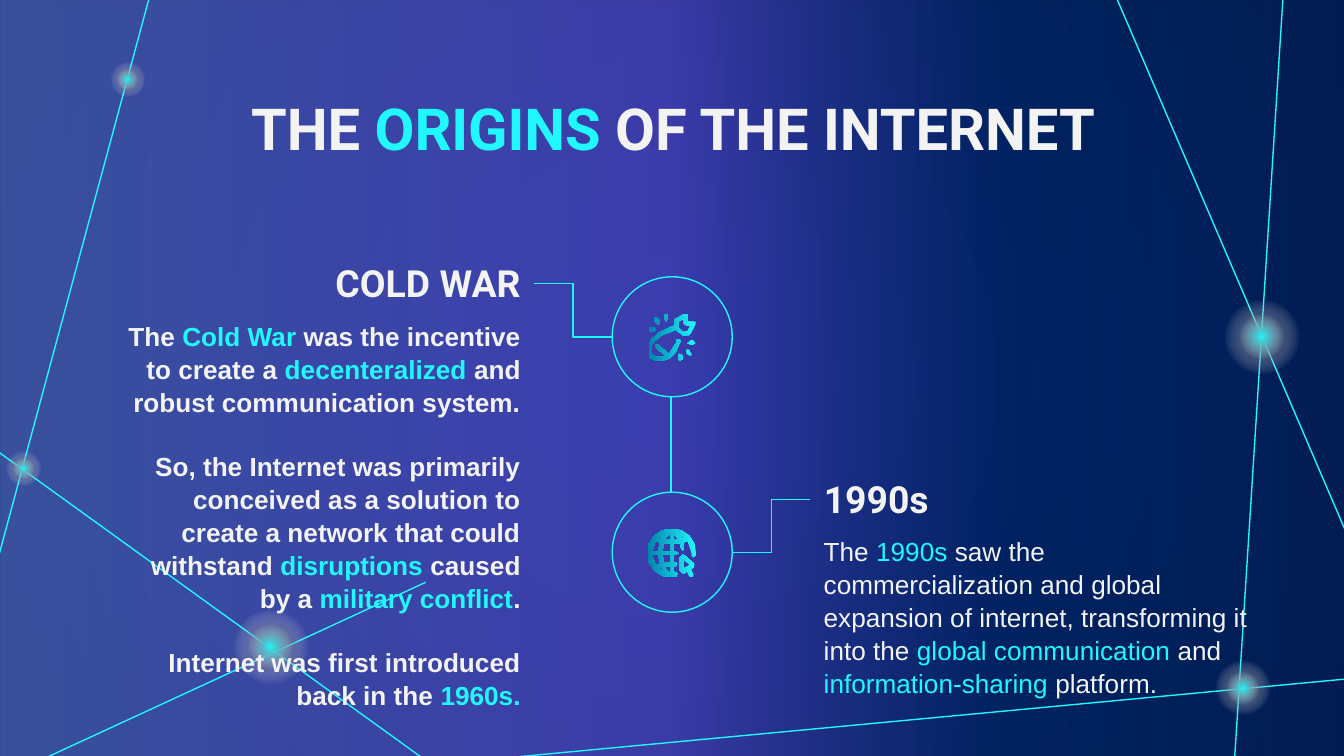
from lxml import etree
from pptx import Presentation
from pptx import util as u
from pptx.dml.color import RGBColor
from pptx.enum import shapes, text
from pptx.oxml.ns import nsdecls, qn

Pt = u.Pt
HUES = {"cyan": "20F8FD", "teal": "0182AA", "white": "F3F3F3", "navy": "00183A",
        "blue": "012060", "sky": "748BFF", "violet": "7659FF", "royal": "022E88"}

# Network lines: from x, y to x, y
LINKS = [(598, -1.5, 721.5, 286), (687.5, -4, 661, 413), (271.5, 406, 729.5, 363),
         (-1, 242, 231, 409.5), (11.5, 412, 228, 312), (81.5, -7, -1, 299)]
# Glowing nodes: centre x, y, size
NODES = [(676, 180.5, 57), (666, 368.5, 42), (145, 346.5, 57), (12.5, 251, 26.5),
         (68.5, 42.5, 26.5)]

# Icon outlines in steps of a hundredth of an inch; later loops cut holes
STEP = 0.72
WRENCH = [
    "31,15 35,8 35,6 33,6 29,6 29,1 28,0 27,0 20,4 19,5 19,9 16,10 8,14 2,19 0,24 0,30 "
    "1,33 5,35 11,35 16,33 20,29 23,22 24,21 23,19 21,19 21,21 15,30 7,23 5,23 5,25 "
    "13,32 11,32 5,32 2,30 2,24 4,21 10,16 18,13 20,12 24,15 25,16 30,16",
    "25,13 22,10 22,6 26,4 26,7 28,9 31,9 29,13",
    "4,5 4,3 6,3 8,5 8,7 7,8 6,7",
    "12,4 12,1 13,0 14,1 14,4 13,6",
    "0,12 1,10 4,10 5,12 4,13 1,13",
    "31,29 32,31 31,31 30,31 28,29 28,27 30,27",
    "35,22 33,23 31,23 29,22 31,20 33,20",
    "25,31 25,34 23,35 22,34 22,31 23,30"]
GLOBE = [
    "21,19 23,18 21,17 19,17 19,11 24,11 25,15 26,16 27,15 27,10 30,9 33,18 33,20 34,21 "
    "36,20 36,18 35,11 31,5 25,1 18,0 11,1 5,5 1,11 0,18 1,25 5,31 11,35 18,36 21,36 "
    "22,34 22,33 20,32 19,33 19,28 21,28 22,26 21,25 19,25 19,19",
    "13,29 13,28 17,28 17,33", "11,30 12,32 8,29 10,28", "6,27 3,19 8,19 9,26",
    "6,9 9,10 8,17 3,17", "17,8 13,8 13,7 17,3", "11,6 10,7 8,7 12,4",
    "12,11 17,11 17,17 11,17", "19,8 19,3 23,8", "24,5 24,4 28,7 26,7",
    "17,25 12,25 11,19 17,19",
    "35,26 28,20 26,19 24,21 24,31 26,33 28,33 29,31 31,35 33,36 34,34 32,30 34,29",
    "32,27 31,27 28,29 27,29 27,23"]


def hue(name):
    return RGBColor.from_string(HUES[name])


def blend(fill, owner, stops, angle=None):
    """Fill with (place, colour, opacity) stops, round when no angle is given."""
    fill.solid()
    fill.fore_color.rgb = hue("navy")
    marks = "".join(
        f'<a:gs pos="{at * 1000}"><a:srgbClr val="{HUES[name]}">'
        f'<a:alpha val="{clear * 1000}"/></a:srgbClr></a:gs>' for at, name, clear in stops)
    if angle is None:
        way = ('<a:path path="circle"><a:fillToRect l="50000" t="50000" '
               'r="50000" b="50000"/></a:path>')
    else:
        way = f'<a:lin ang="{angle * 60000}" scaled="0"/>'
    new = etree.fromstring(f'<a:gradFill {nsdecls("a")} rotWithShape="1">'
                           f'<a:gsLst>{marks}</a:gsLst>{way}</a:gradFill>')
    old = owner.find(".//" + qn("a:solidFill"))
    old.getparent().replace(old, new)


def shape(slide, kind, *box):
    item = slide.shapes.add_shape(kind, *map(Pt, box))
    item.shadow.inherit = False
    item.line.fill.background()
    return item


def link(slide, ends, kind=shapes.MSO_CONNECTOR.STRAIGHT):
    line = slide.shapes.add_connector(kind, *map(Pt, ends))
    line.line.color.rgb = hue("cyan")
    line.line.width = Pt(0.75)
    etree.SubElement(line.element.spPr, qn("a:effectLst"))


def glow(slide, x, y, size):
    for name, wide in (("navy", size), ("cyan", size * 0.6)):
        disc = shape(slide, shapes.MSO_SHAPE.OVAL, x - wide / 2, y - wide / 2, wide, wide)
        blend(disc.fill, disc.element,
              [(0, name, 100), (50, "white", 0), (100, "white", 0)])


def ring(slide, *box):
    disc = shape(slide, shapes.MSO_SHAPE.OVAL, *box)
    disc.fill.background()
    disc.line.color.rgb = hue("cyan")
    disc.line.width = Pt(0.75)


def icon(slide, loops, x, y):
    pen = None
    for loop in loops:
        first, *rest = [tuple(map(int, dot.split(","))) for dot in loop.split()]
        if pen is None:
            pen = slide.shapes.build_freeform(*first, scale=Pt(STEP))
        else:
            pen.move_to(*first)
        pen.add_line_segments(rest, close=True)
    item = pen.convert_to_shape(Pt(x), Pt(y))
    item.shadow.inherit = False
    item.line.fill.background()
    blend(item.fill, item.element, [(0, "cyan", 100), (100, "teal", 100)], 180)


def write(item, paras, size, font, bold=True, align="LEFT", anchor="TOP", pitch=None):
    """Put paragraphs in a frame; words between stars are cyan."""
    frame = item.text_frame
    frame.word_wrap = True
    frame.auto_size = text.MSO_AUTO_SIZE.NONE
    frame.vertical_anchor = text.MSO_ANCHOR[anchor]
    frame.margin_left = frame.margin_right = Pt(7.2)
    frame.margin_top = frame.margin_bottom = Pt(7.2)
    for i, words in enumerate(paras):
        para = frame.add_paragraph() if i else frame.paragraphs[0]
        para.alignment = text.PP_ALIGN[align]
        para.font.size, para.font.name, para.font.bold = Pt(size), font, bold
        if pitch:
            para.line_spacing = pitch
        if i:
            para.space_before = Pt(16.8)
        for j, part in enumerate(words.split("*")):
            if part:
                run = para.add_run()
                run.text = part
                run.font.color.rgb = hue("cyan" if j % 2 else "white")


def block(slide, x, y, wide, tall, head, paras, bold, align):
    """A heading with its text below."""
    top = slide.shapes.add_textbox(*map(Pt, (x, y, 229, 37.5)))
    write(top, [head], 20, "Roboto", align=align, anchor="BOTTOM")
    body = slide.shapes.add_textbox(*map(Pt, (x, y + 30.2, wide, tall)))
    write(body, paras, 14, "Arial", bold, align, pitch=1.05)


def scene(slide):
    blend(slide.background.fill, slide.element, [(0, "blue", 100), (100, "navy", 100)])
    veil = shape(slide, shapes.MSO_SHAPE.RECTANGLE, 0, 0, 720, 405)
    blend(veil.fill, veil.element, [(0, "sky", 49), (50, "violet", 50),
                                    (75, "royal", 35), (100, "blue", 60)], 0)
    for ends in LINKS:
        link(slide, ends)
    for node in NODES:
        glow(slide, *node)


def main():
    deck = Presentation()
    deck.slide_width, deck.slide_height = Pt(720), Pt(405)
    slide = deck.slides.add_slide(deck.slide_layouts[5])
    scene(slide)

    block(slide, 57, 133.3, 229, 225.5, "COLD WAR", [
        "The *Cold War *was the incentive to create a *decenteralized* and robust "
        "communication system.",
        "So, the Internet was primarily conceived as a solution to create a network that "
        "could withstand *disruptions* caused by a *military conflict*.",
        "Internet was first introduced back in the *1960s.*"], True, "RIGHT")
    block(slide, 434.2, 248.7, 243.5, 109.5, "1990s", [
        "The *1990s* saw the commercialization and global expansion of internet, "
        "transforming it into the *global communication* and *information-sharing* "
        "platform."], False, "LEFT")

    title = slide.shapes.title
    title.left, title.top, title.width, title.height = map(Pt, (57, 42.5, 607, 49.5))
    write(title, ["THE *ORIGINS* OF THE INTERNET"], 31, "Roboto", align="CENTER")
    title.element.getparent().append(title.element)  # bring to front

    for y, loops, x in ((148.3, WRENCH, 347.5), (263.7, GLOBE, 347)):
        ring(slide, 328, y, 64.3, 64.3)
        icon(slide, loops, x, y + 19.7)
    elbow = shapes.MSO_CONNECTOR.ELBOW
    link(slide, (286, 152, 328, 180.5), elbow)
    link(slide, (392.3, 296, 434.2, 267.5), elbow)
    link(slide, (359.5, 212.6, 359.5, 263.7))
    deck.save("out.pptx")


if __name__ == "__main__":
    main()
